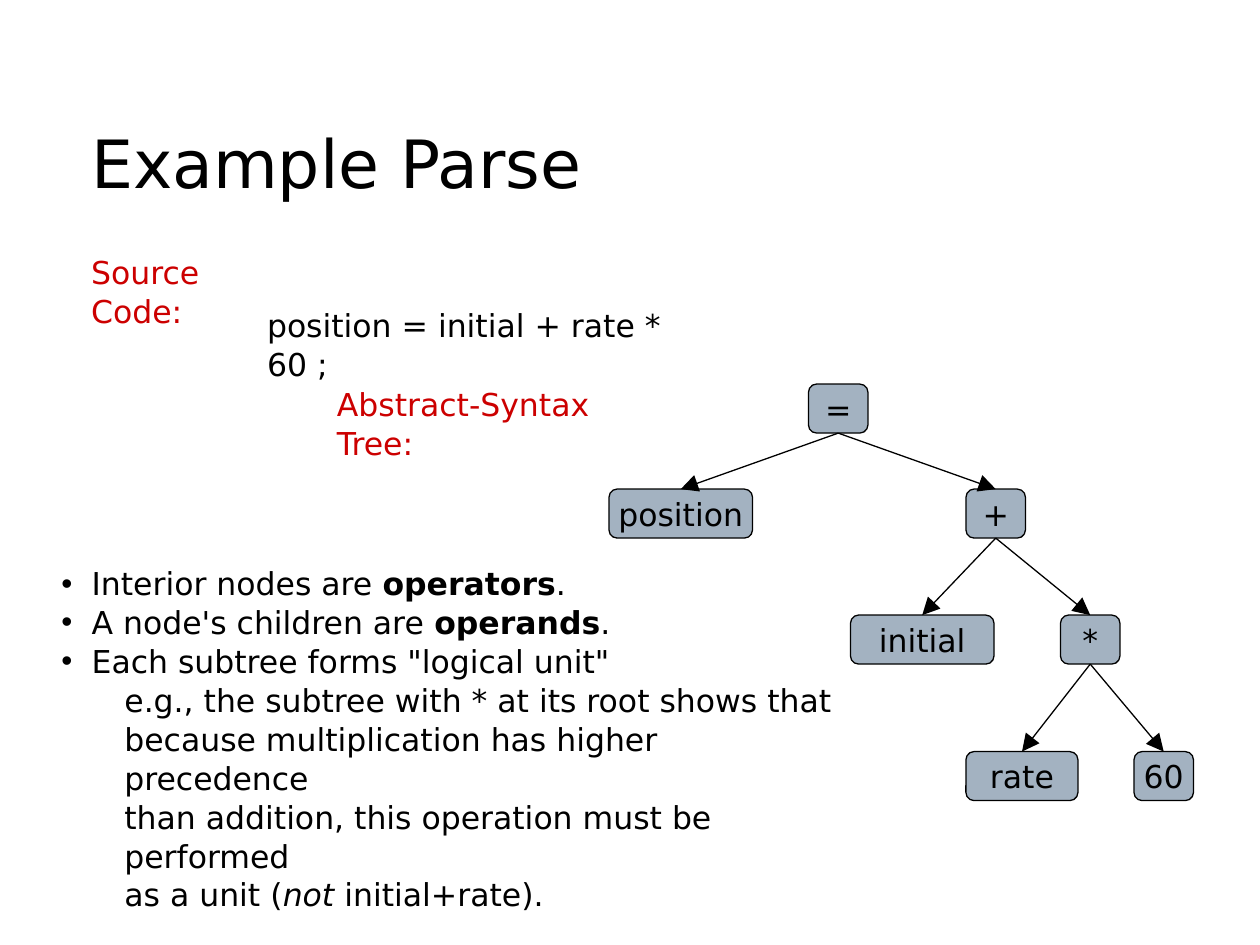
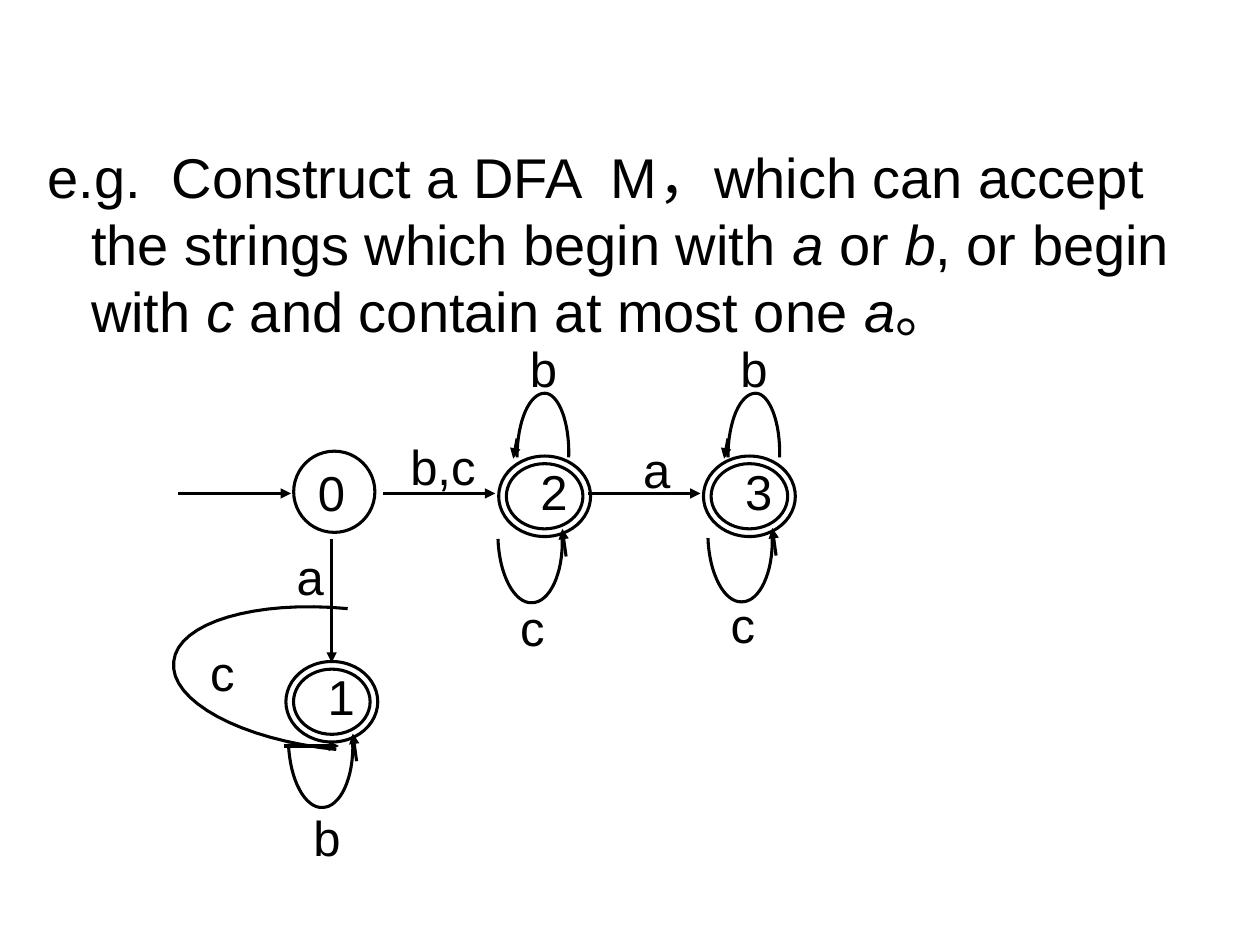
from dataclasses import dataclass

from lxml import etree
from pptx import Presentation
from pptx.dml.color import RGBColor
from pptx.enum.shapes import MSO_CONNECTOR as Connector, MSO_SHAPE as Preset
from pptx.enum.text import MSO_ANCHOR as Anchor, PP_ALIGN as Align
from pptx.oxml.ns import qn
from pptx.util import Pt


@dataclass(frozen=True)
class Theme:
    black: RGBColor = RGBColor(0x00, 0x00, 0x00)
    red: RGBColor = RGBColor(0xCC, 0x00, 0x00)
    node_fill: RGBColor = RGBColor(0xA3, 0xB2, 0xC1)
    tree_font: str = "DejaVu Sans"
    automaton_font: str = "Arial"
    title_size: float = 38
    tree_size: float = 18
    task_size: float = 32
    state_size: float = 28
    tree_line: float = 0.75
    automaton_line: float = 1.75


THEME = Theme()

# Text styles: font name, size, colour
TITLE = (THEME.tree_font, THEME.title_size, THEME.black)
TREE = (THEME.tree_font, THEME.tree_size, THEME.black)
HEADING = (THEME.tree_font, THEME.tree_size, THEME.red)
TASK = (THEME.automaton_font, THEME.task_size, THEME.black)
STATE = (THEME.automaton_font, THEME.state_size, THEME.black)

BULLET = {"margin": 17.3, "indent": -17.3, "bullet": "•"}
EXPLANATION = {"margin": 36, "indent": 0}
HANGING = {"margin": 27, "indent": -25}

# Slide 1: node name -> label, left, top, width
TREE_NODES = {
    "assign": ("=", 462, 219.5, 34),
    "position": ("position", 348, 279.5, 82),
    "add": ("+", 552, 279.5, 34),
    "initial": ("initial", 486, 351.5, 82),
    "multiply": ("*", 606, 351.5, 34),
    "rate": ("rate", 552, 429.5, 64),
    "sixty": ("60", 648, 429.5, 34),
}
TREE_EDGES = [
    ("assign", "position"), ("assign", "add"),
    ("add", "initial"), ("add", "multiply"),
    ("multiply", "rate"), ("multiply", "sixty"),
]
NODE_HEIGHT = 28

# Slide 2: loop curves (Bezier points) and arrows, relative to the loop's start
UPPER_LOOP = (
    [(0, 0), (0.7, -20), (-5.8, -36.7), (-13.7, -36.7),
     (-22.3, -36.7), (-29.5, -21), (-29.5, 0)],
    [(-29.5, -10.8), (-31.7, 0.7)],
)
LOWER_LOOP = (
    [(0, 0), (0.7, 20.5), (9.4, 37), (19.4, 36.4),
     (29.5, 36.4), (37.4, 19.8), (36.7, -1.1)],
    [(38.9, 10), (36.7, -5.8)],
)
WIDE_LOOP = (
    [(0, 0), (-52.6, -5), (-97.2, 7.9), (-99.4, 30.2),
     (-102.2, 52.6), (-61.2, 74.9), (-6.5, 80.5)],
    [(-36.7, 78.5), (-5, 78.5)],
)


def set_all(target, values):
    for name, value in values.items():
        setattr(target, name, value)


def write_runs(paragraph, runs, style):
    """Write runs, each a string or a (string, format) pair."""
    name, size, color = style
    for item in runs:
        text, extra = item if isinstance(item, tuple) else (item, {})
        run = paragraph.add_run()
        run.text = text
        set_all(run.font, {"name": name, "size": Pt(size), **extra})
        run.font.color.rgb = color


def indent_paragraph(paragraph, margin, indent, bullet=None):
    properties = paragraph._p.get_or_add_pPr()
    properties.set("marL", str(Pt(margin)))
    properties.set("indent", str(Pt(indent)))
    if bullet:
        etree.SubElement(properties, qn("a:buFont"), typeface="Arial")
        etree.SubElement(properties, qn("a:buChar"), char=bullet)


def add_text(slide, box, paragraphs, style, anchor=Anchor.TOP, line_spacing=None):
    """Add a wrapping text box; paragraphs are (runs, indents) pairs."""
    shape = slide.shapes.add_textbox(*map(Pt, box))
    frame = shape.text_frame
    set_all(frame, {"word_wrap": True, "vertical_anchor": anchor})
    for index, (runs, indents) in enumerate(paragraphs):
        paragraph = frame.add_paragraph() if index else frame.paragraphs[0]
        if line_spacing:
            paragraph.line_spacing = line_spacing
        if indents:
            indent_paragraph(paragraph, **indents)
        write_runs(paragraph, runs, style)


def add_label(slide, text, left, top, width=36):
    add_text(slide, (left, top, width, 41), [([text], None)], STATE)


def add_outline_shape(slide, preset, box, line_width, adjustment=None, fill=None):
    shape = slide.shapes.add_shape(preset, *map(Pt, box))
    if adjustment is not None:
        shape.adjustments[0] = adjustment
    finish_shape(shape, line_width, fill)
    return shape


def finish_shape(shape, line_width, fill=None):
    shape.shadow.inherit = False
    if fill is None:
        shape.fill.background()
    else:
        shape.fill.solid()
        shape.fill.fore_color.rgb = fill
    shape.line.color.rgb = THEME.black
    shape.line.width = Pt(line_width)


def write_shape_text(shape, text, style, alignment):
    frame = shape.text_frame
    set_all(frame, {"word_wrap": False, "vertical_anchor": Anchor.MIDDLE})
    frame.paragraphs[0].alignment = alignment
    write_runs(frame.paragraphs[0], [text], style)


def add_arrow(slide, start, end, line_width, head="med"):
    arrow = slide.shapes.add_connector(Connector.STRAIGHT, *map(Pt, (*start, *end)))
    arrow.line.color.rgb = THEME.black
    arrow.line.width = Pt(line_width)
    etree.SubElement(arrow.line._get_or_add_ln(), qn("a:tailEnd"),
                     type="triangle", w=head, len=head)
    etree.SubElement(arrow._element.spPr, qn("a:effectLst"))
    return arrow


# Syntax tree parts
def add_node(slide, text, left, top, width):
    node = add_outline_shape(slide, Preset.ROUNDED_RECTANGLE,
                             (left, top, width, NODE_HEIGHT),
                             THEME.tree_line, 0.167, THEME.node_fill)
    write_shape_text(node, text, TREE, Align.CENTER)
    return node


def join_nodes(slide, parent, child):
    arrow = add_arrow(slide, (0, 0), (1, 1), THEME.tree_line, head="lg")
    arrow.begin_connect(parent, 2)
    arrow.end_connect(child, 0)


# Automaton parts
def add_final_state(slide, text, left, top):
    add_outline_shape(slide, Preset.DONUT, (left, top, 52.5, 46),
                      THEME.automaton_line, 0.095)
    add_label(slide, text, left + 16.7, top - 0.7)


def curve_points(points, steps=16):
    """Sample a chain of cubic Bezier curves."""
    for first in range(0, len(points) - 1, 3):
        a, b, c, d = points[first:first + 4]
        for step in range(steps + 1):
            t = step / steps
            u = 1 - t
            yield tuple(u**3 * a[k] + 3 * u * u * t * b[k]
                        + 3 * u * t * t * c[k] + t**3 * d[k] for k in (0, 1))


def add_loop(slide, loop, left, top):
    curve, arrow = loop
    points = [(Pt(left + x), Pt(top + y)) for x, y in curve_points(curve)]
    builder = slide.shapes.build_freeform(*points[0])
    builder.add_line_segments(points[1:], close=False)
    finish_shape(builder.convert_to_shape(), THEME.automaton_line)
    start, end = [(left + x, top + y) for x, y in arrow]
    add_arrow(slide, start, end, THEME.automaton_line)


def build_parse_slide(slide):
    bold, italic = {"bold": True}, {"italic": True}
    add_text(slide, (45, 24, 629, 95), [(["Example Parse"], None)], TITLE,
             anchor=Anchor.BOTTOM)

    # Source code and tree headings
    for text, box, style in [
        ("Source Code:", (45, 140.5, 125, 29), HEADING),
        ("position = initial + rate * 60 ;", (145.5, 170.7, 256, 29), TREE),
        ("Abstract-Syntax Tree:", (185.5, 216, 194, 29), HEADING),
    ]:
        add_text(slide, box, [([text], None)], style, line_spacing=1.03)

    # Tree
    nodes = {name: add_node(slide, *values) for name, values in TREE_NODES.items()}
    for parent, child in TREE_EDGES:
        join_nodes(slide, nodes[parent], nodes[child])

    # Remarks
    add_text(slide, (28, 318.3, 461.5, 158.5), [
        (["Interior nodes are ", ("operators", bold), "."], BULLET),
        (["A node's children are ", ("operands", bold), "."], BULLET),
        (['Each subtree forms "logical unit"'], BULLET),
        (["e.g., the subtree with * at its root shows that"], EXPLANATION),
        (["because multiplication has higher precedence"], EXPLANATION),
        (["than addition, this operation must be performed"], EXPLANATION),
        (["as a unit (", ("not", italic), " initial+rate)."], EXPLANATION),
    ], TREE, line_spacing=1.03)


def build_automaton_slide(slide):
    italic = {"italic": True}
    add_text(slide, (18, 77.8, 684, 132), [([
        "e.g.  Construct a DFA  M，which can accept the strings which begin with ",
        ("a", italic), " or ", ("b", italic), ", or begin with ", ("c", italic),
        " and contain at most one ", ("a", italic), "。",
    ], HANGING)], TASK)

    # Transitions
    for start, end in [
        ((102, 282), (166.3, 282)), ((218.9, 282), (283, 282)),
        ((336, 282), (400.3, 282)), ((189.5, 308), (189.5, 378.7)),
    ]:
        add_arrow(slide, start, end, THEME.automaton_line)

    # States
    initial = add_outline_shape(slide, Preset.OVAL, (167.8, 257.8, 46.4, 46.4),
                                THEME.automaton_line)
    write_shape_text(initial, "0", STATE, Align.LEFT)
    for text, left, top in [("1", 163.4, 378), ("2", 285, 260.6), ("3", 402, 260.6)]:
        add_final_state(slide, text, left, top)

    # Loops
    for loop, left, top in [
        (LOWER_LOOP, 164.9, 425), (WIDE_LOOP, 198.7, 347.8),
        (UPPER_LOOP, 325, 261.4), (LOWER_LOOP, 284.6, 308),
        (UPPER_LOOP, 445.5, 261.4), (LOWER_LOOP, 404.6, 307.5),
    ]:
        add_loop(slide, loop, left, top)

    # Transition labels
    for text, left, top in [
        ("a", 162.5, 309), ("b", 172, 458), ("c", 113, 363.6),
        ("c", 290.2, 337.7), ("b", 295.8, 190), ("a", 360.5, 247.7),
        ("c", 410.4, 336.2), ("b", 416, 190),
    ]:
        add_label(slide, text, left, top)
    add_label(slide, "b,c", 227.4, 246.2, width=56)


def main():
    presentation = Presentation()
    set_all(presentation, {"slide_width": Pt(720), "slide_height": Pt(540)})
    blank = presentation.slide_layouts[6]
    for build in (build_parse_slide, build_automaton_slide):
        build(presentation.slides.add_slide(blank))
    presentation.save("out.pptx")


if __name__ == "__main__":
    main()
